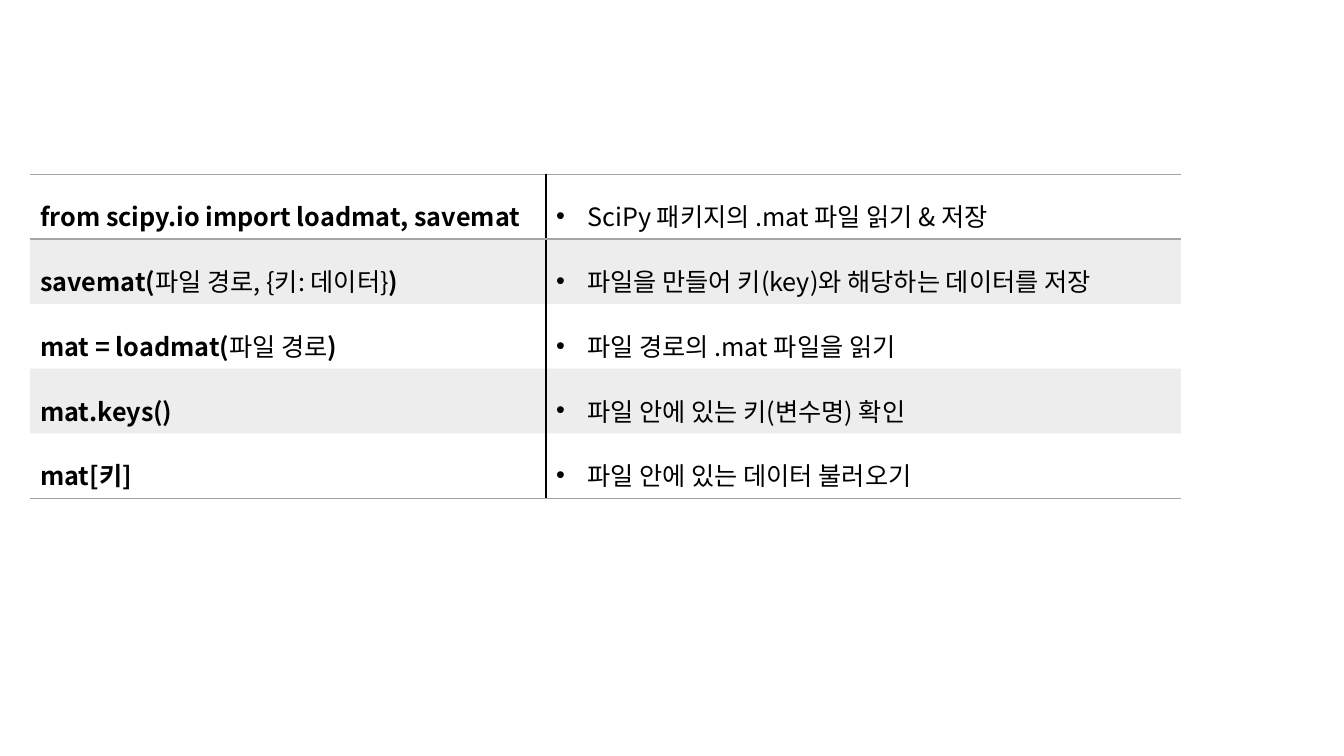
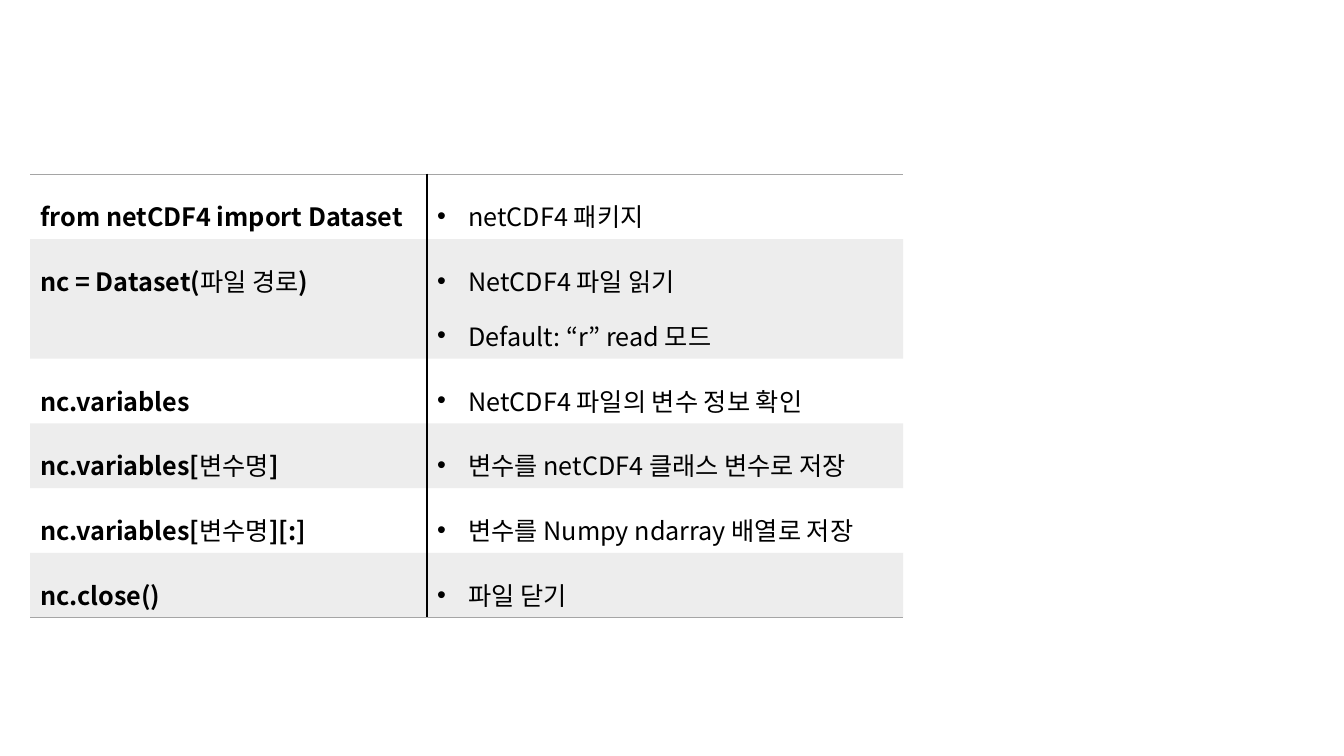
from dataclasses import dataclass

from lxml.etree import SubElement
from pptx import Presentation
from pptx.dml.color import RGBColor
from pptx.oxml.ns import qn
from pptx.util import Cm, Pt

TABLES = [
    {
        "columns": (13, 16),
        "line_below_first_row": True,
        "rows": [
            (["from scipy.io import loadmat, savemat"], ["SciPy 패키지의 .mat 파일 읽기 & 저장"]),
            (["savemat(", "파일 경로, {키: 데이터}", ")"], ["파일을 만들어 키(key)와 해당하는 데이터를 저장"]),
            (["mat = loadmat(", "파일 경로", ")"], ["파일 경로의 .mat 파일을 읽기"]),
            (["mat.keys()"], ["파일 안에 있는 키(변수명) 확인"]),
            (["mat[키]"], ["파일 안에 있는 데이터 불러오기"]),
        ],
    },
    {
        "columns": (10, 12),
        "line_below_first_row": False,
        "rows": [
            (["from netCDF4 import Dataset"], ["netCDF4 패키지"]),
            (["nc = Dataset(", "파일 경로", ")"], ["NetCDF4 파일 읽기", "Default: “r” read 모드"]),
            (["nc.variables"], ["NetCDF4 파일의 변수 정보 확인"]),
            (["nc.variables[", "변수명", "]"], ["변수를 netCDF4 클래스 변수로 저장"]),
            (["nc.variables[", "변수명", "][:]"], ["변수를 Numpy ndarray 배열로 저장"]),
            (["nc.close()"], ["파일 닫기"]),
        ],
    },
]


@dataclass(frozen=True)
class Theme:
    font: str = "Noto Sans CJK KR"
    size: int = 18
    text: str = "000000"
    divider: str = "000000"
    rule: str = "A5A5A5"
    band: str = "A5A5A5"
    band_opacity: int = 20
    line_width: int = 1
    line_spacing: float = 1.5
    plain_table: str = "{2D5ABB26-0587-4C30-8999-92F81FD0307C}"


THEME = Theme()
LEFT, TOP = Cm(0.76), Cm(4.39)
ROW_HEIGHT = Cm(1.04)
BULLET_INDENT = Cm(0.79)


def format_run(run, bold):
    run.font.size = Pt(THEME.size)
    run.font.bold = bold
    run.font.name = THEME.font
    run.font.color.rgb = RGBColor.from_string(THEME.text)
    SubElement(run._r.get_or_add_rPr(), qn("a:ea"), typeface=THEME.font)


def write_code(cell, parts):
    paragraph = cell.text_frame.paragraphs[0]
    paragraph.line_spacing = THEME.line_spacing
    for index, part in enumerate(parts):
        run = paragraph.add_run()
        run.text = part
        format_run(run, bold=index % 2 == 0)


def write_bullets(cell, lines):
    cell.text_frame.text = "\n".join(lines)
    for paragraph in cell.text_frame.paragraphs:
        paragraph.line_spacing = THEME.line_spacing
        properties = paragraph._p.get_or_add_pPr()
        properties.set("marL", str(BULLET_INDENT))
        properties.set("indent", str(-BULLET_INDENT))
        SubElement(properties, qn("a:buFont"), typeface="Arial")
        SubElement(properties, qn("a:buChar"), char="•")
        format_run(paragraph.runs[0], bold=False)


def draw_borders(cell, borders):
    properties = cell._tc.get_or_add_tcPr()
    for side in "LRTB":
        if side in borders:
            line = SubElement(properties, qn(f"a:ln{side}"), w=str(Pt(THEME.line_width)))
            fill = SubElement(line, qn("a:solidFill"))
            SubElement(fill, qn("a:srgbClr"), val=borders[side])


def fill_cell(cell, banded):
    if not banded:
        cell.fill.background()
        return
    cell.fill.solid()
    cell.fill.fore_color.rgb = RGBColor.from_string(THEME.band)
    color = next(cell._tc.get_or_add_tcPr().iter(qn("a:srgbClr"), qn("a:solidFill")), None)
    for fill in cell._tc.tcPr.findall(qn("a:solidFill")):
        color = fill.find(qn("a:srgbClr"))
    SubElement(color, qn("a:alpha"), val=str(THEME.band_opacity * 1000))


def add_reference_table(slide, content):
    rows = content["rows"]
    widths = [Cm(width) for width in content["columns"]]
    frame = slide.shapes.add_table(
        len(rows), len(widths), LEFT, TOP, sum(widths), ROW_HEIGHT * len(rows)
    )
    table = frame.table
    table.first_row = table.horz_banding = False
    table._tbl.tblPr.find(qn("a:tableStyleId")).text = THEME.plain_table
    for column, width in zip(table.columns, widths):
        column.width = width

    ruled_below = {len(rows) - 1}
    if content["line_below_first_row"]:
        ruled_below.add(0)
    for index, (code, notes) in enumerate(rows):
        table.rows[index].height = ROW_HEIGHT
        code_cell, notes_cell = table.cell(index, 0), table.cell(index, 1)
        write_code(code_cell, code)
        write_bullets(notes_cell, notes)
        rules = {}
        if index == 0:
            rules["T"] = THEME.rule
        if index in ruled_below:
            rules["B"] = THEME.rule
        for cell, inner_side in ((code_cell, "R"), (notes_cell, "L")):
            draw_borders(cell, {inner_side: THEME.divider, **rules})
            fill_cell(cell, banded=index % 2 == 1)


def main():
    presentation = Presentation()
    presentation.slide_width, presentation.slide_height = Cm(33.87), Cm(19.05)
    for content in TABLES:
        slide = presentation.slides.add_slide(presentation.slide_layouts[6])
        add_reference_table(slide, content)
    presentation.save("out.pptx")


if __name__ == "__main__":
    main()
